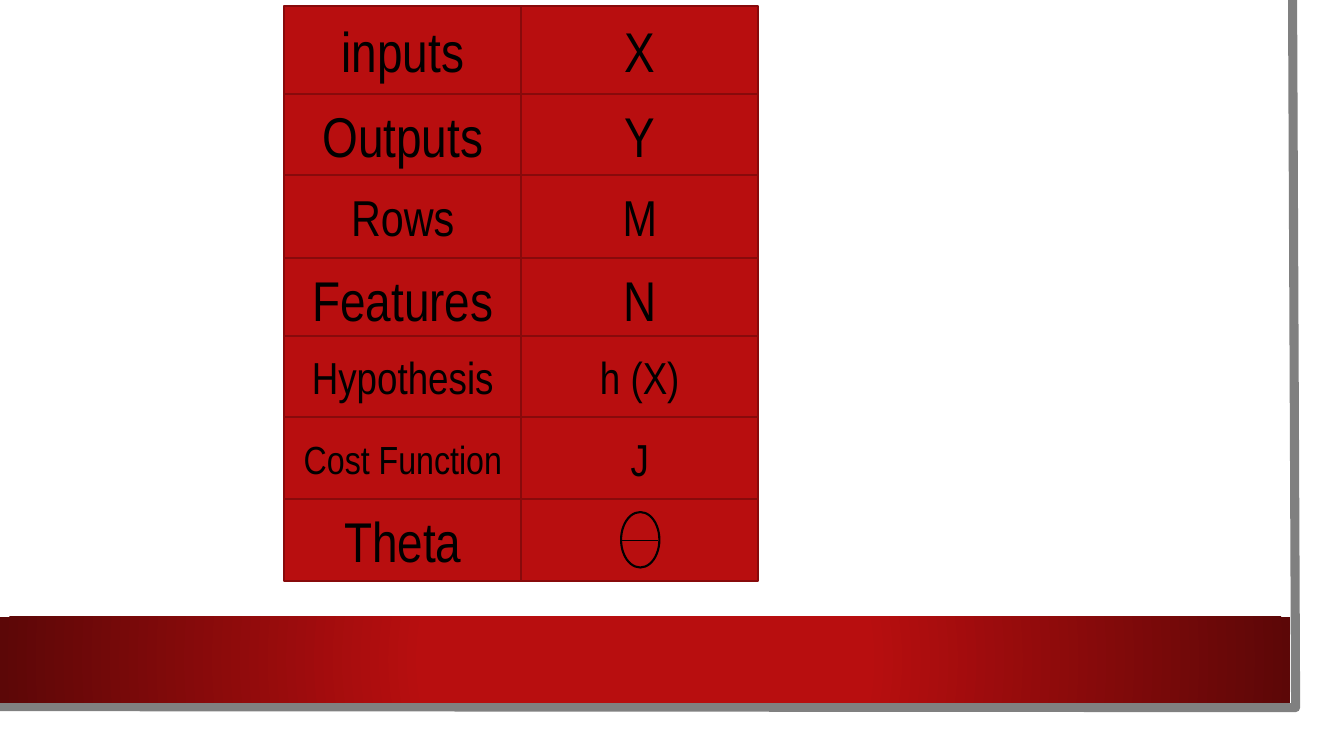
import pptx
import pptx.dml.color
import pptx.enum.shapes
import pptx.enum.text
import pptx.oxml
import pptx.oxml.ns
import pptx.util
from pptx.util import Inches

RED = pptx.dml.color.RGBColor(0xB8, 0x0E, 0x0F)
DARK_RED = pptx.dml.color.RGBColor(0x5C, 0x07, 0x07)
BORDER_RED = pptx.dml.color.RGBColor(0x88, 0x0A, 0x0B)
GREY = pptx.dml.color.RGBColor(0x80, 0x80, 0x80)
BLACK = pptx.dml.color.RGBColor(0, 0, 0)
WHITE = pptx.dml.color.RGBColor(0xFF, 0xFF, 0xFF)

FONT = "Arial Narrow"
LEFT = 2.82
COLUMN_WIDTH = 2.35
NOTATION = [
    (0.06, 0.87, "inputs", 40, "X", 40),
    (0.93, 0.82, "Outputs", 40, "Y", 40),
    (1.74, 0.82, "Rows", 36, "M", 36),
    (2.56, 0.82, "Features", 40, "N", 40),
    (3.33, 0.82, "Hypothesis", 32, "h (X)", 32),
    (4.14, 0.82, "Cost Function", 28, "J", 32),
    (4.95, 0.81, "Theta", 40, "", 40),
]
RADIAL_PATH = (
    '<a:path %s path="circle"><a:fillToRect l="50000" t="50000" r="50000" b="50000"/></a:path>'
    % pptx.oxml.ns.nsdecls("a")
)


def add_box(slide, kind, left, top, width, height, fill=None, line=None):
    box = slide.shapes.add_shape(kind, Inches(left), Inches(top), Inches(width), Inches(height))
    box.shadow.inherit = False
    if fill is not None:
        box.fill.solid()
        box.fill.fore_color.rgb = fill
    if line is None:
        box.line.fill.background()
    else:
        box.line.color.rgb = line
        box.line.width = pptx.util.Pt(1.5)
    return box


def add_cell(slide, column, top, height, label, size):
    cell = add_box(slide, pptx.enum.shapes.MSO_SHAPE.RECTANGLE, LEFT + column * COLUMN_WIDTH,
                   top, COLUMN_WIDTH, height, RED, BORDER_RED)
    if not label:
        return
    frame = cell.text_frame
    frame.text = label
    frame.word_wrap = True
    frame.vertical_anchor = pptx.enum.text.MSO_ANCHOR.MIDDLE
    paragraph = frame.paragraphs[0]
    paragraph.alignment = pptx.enum.text.PP_ALIGN.CENTER
    font = paragraph.runs[0].font
    font.name = FONT
    font.size = pptx.util.Pt(size)
    font.color.rgb = BLACK


def add_page_edge(slide):
    builder = slide.shapes.build_freeform(Inches(12.82), 0)
    builder.add_line_segments(
        [(Inches(12.85), Inches(7.02)), (Inches(-0.03), Inches(7.01))], close=False)
    edge = builder.convert_to_shape()
    edge.shadow.inherit = False
    edge.fill.background()
    edge.line.color.rgb = GREY
    edge.line.width = pptx.util.Pt(6.5)


def add_footer_band(slide):
    band = add_box(slide, pptx.enum.shapes.MSO_SHAPE.RECTANGLE, 0, 6.12, 12.8, 0.85)
    band.fill.gradient()
    for stop, position, color in zip(band.fill.gradient_stops, (0.34, 1), (RED, DARK_RED)):
        stop.position = position
        stop.color.rgb = color
    linear = band.element.spPr.find(".//" + pptx.oxml.ns.qn("a:lin"))
    linear.getparent().replace(linear, pptx.oxml.parse_xml(RADIAL_PATH))


def add_theta(slide):
    add_box(slide, pptx.enum.shapes.MSO_SHAPE.OVAL, 6.16, 5.08, 0.38, 0.55, RED, BLACK)
    bar = slide.shapes.add_connector(pptx.enum.shapes.MSO_CONNECTOR.STRAIGHT,
                                     Inches(6.16), Inches(5.36), Inches(6.53), Inches(5.36))
    bar.line.color.rgb = BLACK
    bar.line.width = pptx.util.Pt(0.75)
    pptx.oxml.ns.qn("a:effectLst")
    bar.element.spPr.append(
        pptx.oxml.parse_xml("<a:effectLst %s/>" % pptx.oxml.ns.nsdecls("a")))


def main():
    deck = pptx.Presentation()
    deck.slide_width = Inches(13.33)
    deck.slide_height = Inches(7.5)
    slide = deck.slides.add_slide(deck.slide_layouts[6])
    add_box(slide, pptx.enum.shapes.MSO_SHAPE.RECTANGLE, 0, 0, 13.1, 7.27, WHITE)
    add_page_edge(slide)
    add_footer_band(slide)
    for top, height, term, term_size, symbol, symbol_size in NOTATION:
        add_cell(slide, 0, top, height, term, term_size)
        add_cell(slide, 1, top, height, symbol, symbol_size)
    add_theta(slide)
    deck.save("out.pptx")


if __name__ == "__main__":
    main()
